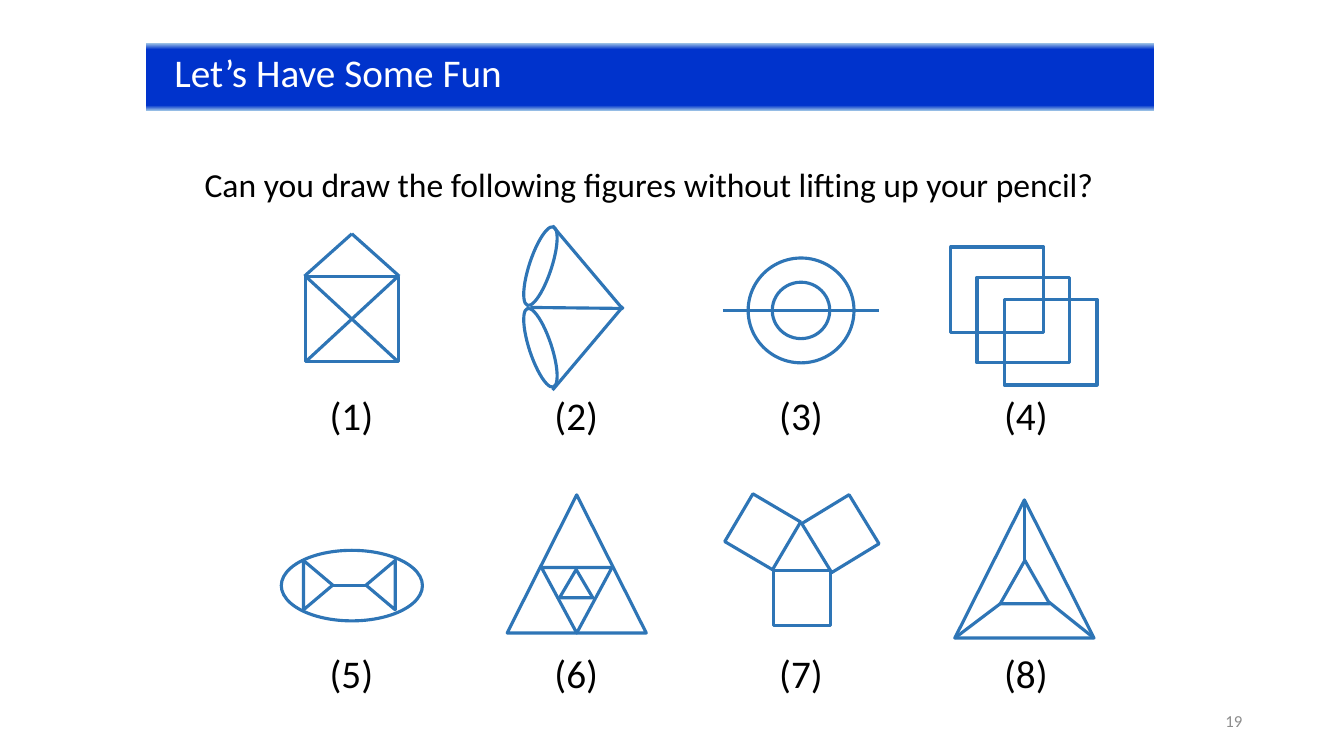
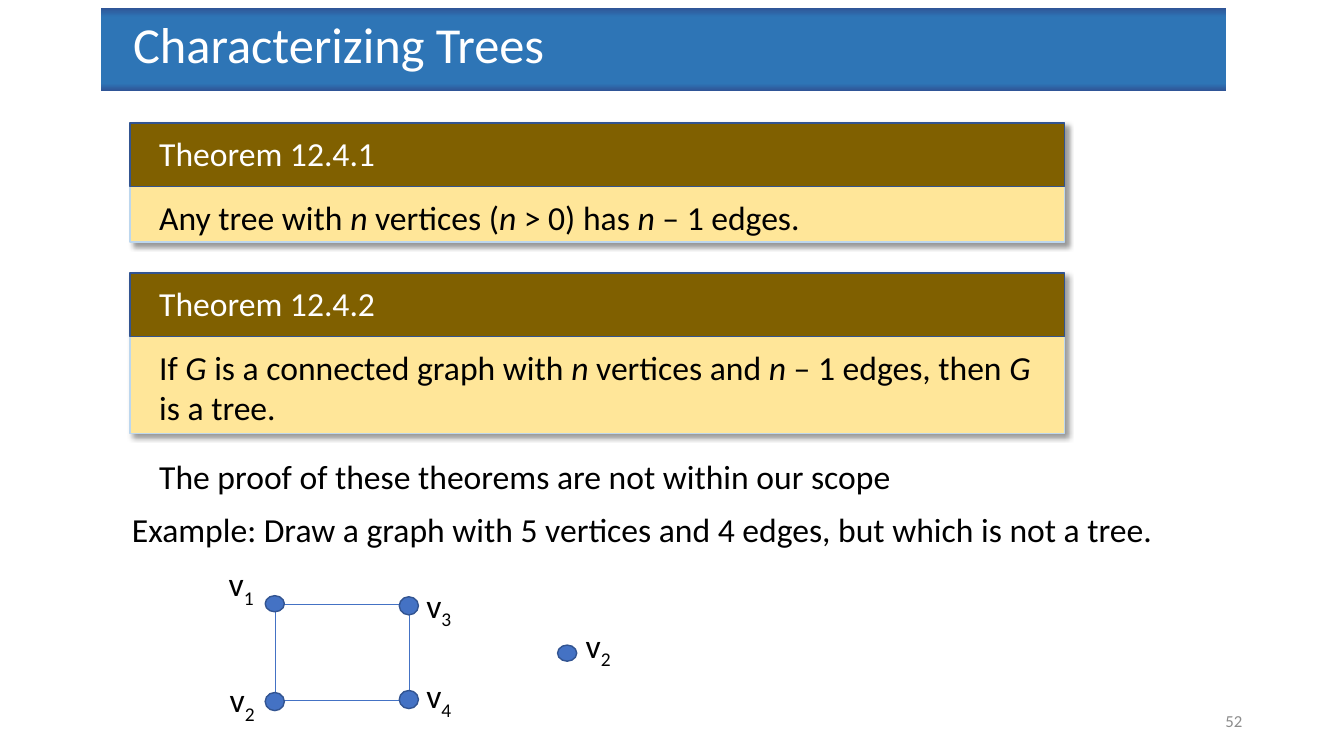
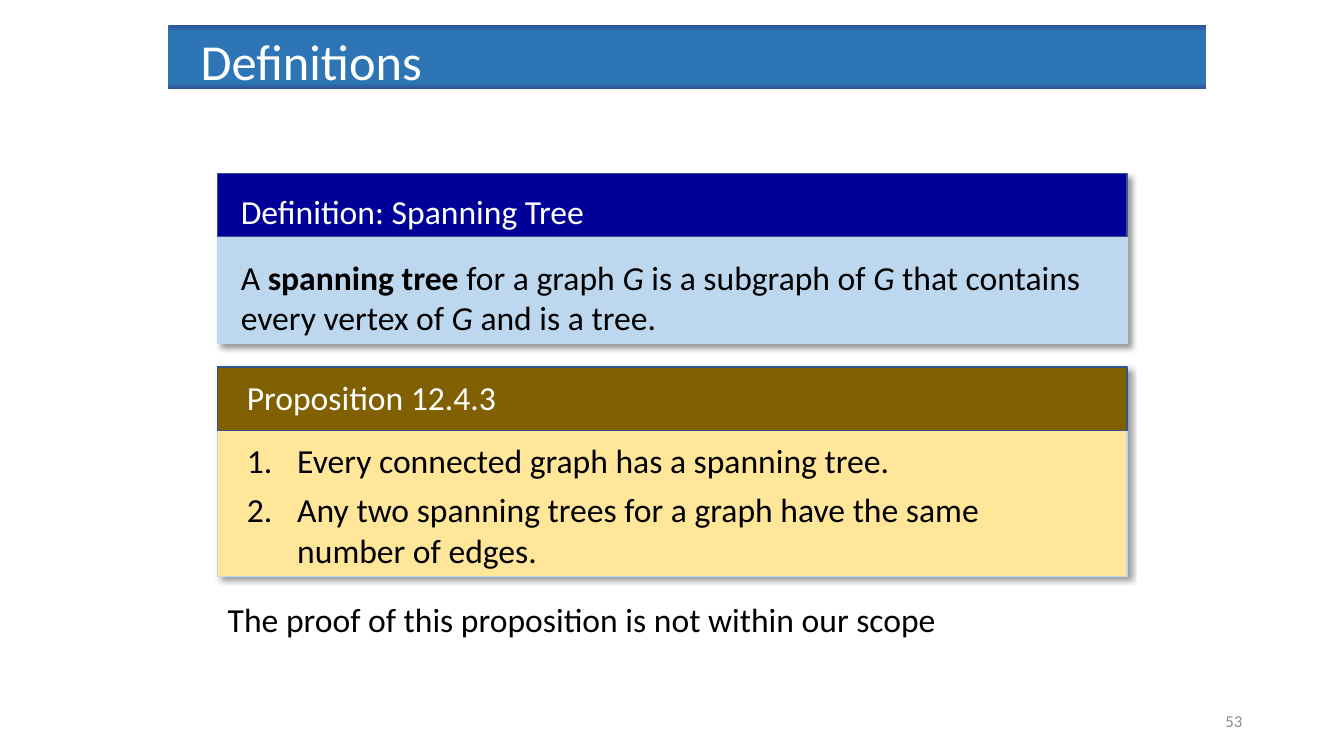
from dataclasses import dataclass
from typing import NamedTuple

from lxml.etree import SubElement
from pptx import Presentation
from pptx.dml.color import RGBColor
from pptx.enum.shapes import MSO_CONNECTOR, MSO_SHAPE
from pptx.enum.text import MSO_ANCHOR, PP_ALIGN
from pptx.oxml.ns import qn
from pptx.util import Inches, Pt


@dataclass(frozen=True)
class Theme:
    font: str = "Calibri"
    black: str = "000000"
    white: str = "FFFFFF"
    grey: str = "8C8C8C"
    figure: str = "2E75B6"
    vertex: str = "4472C4"
    outline: str = "325491"
    pale_blue: str = "BDD7EE"
    navy: str = "000099"
    cream: str = "FFE699"
    brown: str = "806000"
    number: int = 12
    body: int = 24
    label: int = 28
    title: int = 36
    figure_width: float = 2.25


T = Theme()


class Span(NamedTuple):
    text: str
    bold: bool = False
    italic: bool = False
    sub: bool = False


class Band(NamedTuple):
    stops: tuple[tuple[int, str], ...]
    size: int
    inset: float


class Box(NamedTuple):
    left: float
    top: float
    width: float
    height: float


class Part(NamedTuple):
    shape: MSO_SHAPE
    box: Box
    rotation: float = 0


class Stroke(NamedTuple):
    x1: float
    y1: float
    x2: float
    y2: float


@dataclass(frozen=True)
class Card:
    box: Box
    heading: str
    paragraphs: list[list[Span]]
    text_width: float
    text_dx: float = 0.19
    heading_dy: float = 0.05
    body_dy: float = 0.68
    head_fill: str = T.brown
    body_fill: str = T.cream
    numbered: bool = False


class Vertex(NamedTuple):
    left: float
    top: float
    height: float
    label_left: float
    label_top: float
    index: str


FUN_BAND = Band(((0, "9DC3E6"), (9, "0033CC"), (92, "0033CC"), (100, "9DC3E6")), T.label, 0.28)
BLUE_BAND = Band(((0, "2F5597"), (11, "2E75B6"), (91, "2E75B6"), (100, "2F5597")), T.title, 0.32)
HEAD_HEIGHT = 0.63
LINE_HEIGHT = 0.5

RECT, OVAL, TRIANGLE = MSO_SHAPE.RECTANGLE, MSO_SHAPE.OVAL, MSO_SHAPE.ISOSCELES_TRIANGLE
G = Span("G", italic=True)
N = Span("n", italic=True)

FIGURES = [
    [
        Part(RECT, Box(0.01, 0.51, 0.92, 0.85)),
        Stroke(0.01, 0.51, 0.93, 1.36),
        Stroke(0.01, 1.36, 0.93, 0.51),
        Stroke(0.47, 0.09, 0.94, 0.51),
        Stroke(0, 0.51, 0.47, 0.09),
    ],
    [
        Stroke(0.01, 0.82, 0.93, 0.83),
        Stroke(0.23, 0.01, 0.93, 0.84),
        Part(OVAL, Box(0, 0, 0.22, 0.82), 18.3),
        Part(OVAL, Box(0, 0.81, 0.22, 0.82), 341.7),
        Stroke(0.23, 1.64, 0.93, 0.81),
    ],
    [
        Part(OVAL, Box(0.18, 0.57, 0.57, 0.56)),
        Part(OVAL, Box(-0.06, 0.33, 1.05, 1.04)),
        Stroke(-0.31, 0.85, 1.24, 0.85),
    ],
    [
        Part(RECT, Box(x, y, 0.92, 0.85))
        for x, y in ((-0.28, 0.22), (-0.02, 0.52), (0.25, 0.74))
    ],
    [
        Stroke(0.28, 1.02, 0.61, 1.02),
        Part(TRIANGLE, Box(0.51, 0.87, 0.49, 0.29), 270),
        Part(TRIANGLE, Box(-0.11, 0.87, 0.49, 0.29), 90),
        Part(OVAL, Box(-0.23, 0.67, 1.4, 0.7)),
    ],
    [
        Part(TRIANGLE, Box(-0.22, 0.12, 1.38, 1.37)),
        Part(TRIANGLE, Box(0.3, 0.86, 0.33, 0.28)),
        Part(TRIANGLE, Box(0.12, 0.84, 0.7, 0.65), 180),
    ],
    [
        Part(RECT, Box(0.19, 0.87, 0.57, 0.55)),
        Part(RECT, Box(-0.19, 0.21, 0.55, 0.55), 300.5),
        Part(RECT, Box(0.57, 0.23, 0.57, 0.55), 58.6),
    ],
    [
        Part(TRIANGLE, Box(-0.24, 0.17, 1.38, 1.37)),
        Part(TRIANGLE, Box(0.21, 0.77, 0.49, 0.43)),
        Stroke(0.45, 0.18, 0.45, 0.77),
        Stroke(0.21, 1.2, -0.24, 1.54),
        Stroke(1.14, 1.54, 0.69, 1.18),
    ],
]

VERTICES = [
    Vertex(2.63, 5.91, 0.16, 2.17, 5.54, "1"),
    Vertex(2.63, 6.87, 0.18, 2.18, 6.69, "2"),
    Vertex(3.96, 5.92, 0.18, 4.13, 5.75, "3"),
    Vertex(3.96, 6.85, 0.18, 4.13, 6.65, "4"),
    Vertex(5.53, 6.4, 0.16, 5.71, 6.15, "2"),
]

EDGES = [
    Stroke(2.73, 6, 2.73, 6.95),
    Stroke(2.73, 6.95, 4.06, 6.95),
    Stroke(2.73, 6, 4.06, 6),
    Stroke(4.06, 6.95, 4.06, 6),
]


def rgb(color: str) -> RGBColor:
    return RGBColor.from_string(color)


def place(box: Box) -> list[int]:
    return [Inches(v) for v in box]


def style_run(r, size: int, color: str) -> None:
    r.font.name = T.font
    r.font.size = Pt(size)
    r.font.color.rgb = rgb(color)


def fill_paragraph(p, spans: list[Span], size: int, color: str) -> None:
    for span in spans:
        r = p.add_run()
        r.text = span.text
        style_run(r, size, color)
        if span.bold:
            r.font.bold = True
        if span.italic:
            r.font.italic = True
        if span.sub:
            r.font._element.set("baseline", "-25000")


def add_number_mark(p) -> None:
    pPr = p._p.get_or_add_pPr()
    pPr.set("marL", str(Inches(0.5)))
    pPr.set("indent", str(-Inches(0.5)))
    SubElement(pPr, qn("a:buFont"), typeface="+mj-lt")
    SubElement(pPr, qn("a:buAutoNum"), type="arabicPeriod")


def add_text(s, box: Box, paragraphs: list[list[Span]], size: int = T.body,
             color: str = T.black, align: PP_ALIGN = PP_ALIGN.LEFT,
             anchor: MSO_ANCHOR = MSO_ANCHOR.TOP, numbered: bool = False) -> None:
    tf = s.shapes.add_textbox(*place(box)).text_frame
    tf.word_wrap = True
    tf.vertical_anchor = anchor
    for i, spans in enumerate(paragraphs):
        p = tf.add_paragraph() if i else tf.paragraphs[0]
        p.alignment = align
        if len(paragraphs) > 1:
            p.space_after = Pt(6)
        if numbered:
            add_number_mark(p)
        fill_paragraph(p, spans, size, color)


def add_shape(s, part: Part, fill: str | None, line: str | None, width: float = 1):
    sp = s.shapes.add_shape(part.shape, *place(part.box))
    sp.rotation = part.rotation
    sp.shadow.inherit = False
    if fill:
        sp.fill.solid()
        sp.fill.fore_color.rgb = rgb(fill)
    else:
        sp.fill.background()
    if line:
        sp.line.color.rgb = rgb(line)
        sp.line.width = Pt(width)
    else:
        sp.line.fill.background()
    return sp


def add_stroke(s, stroke: Stroke, color: str, width: float) -> None:
    ends = [Inches(v) for v in stroke]
    cxn = s.shapes.add_connector(MSO_CONNECTOR.STRAIGHT, *ends)
    cxn.line.color.rgb = rgb(color)
    cxn.line.width = Pt(width)
    SubElement(cxn._element.spPr, qn("a:effectLst"))


def add_color(parent, color: str):
    return SubElement(parent, qn("a:srgbClr"), val=color)


def add_drop_shadow(sp) -> None:
    effects = sp._element.spPr.find(qn("a:effectLst"))
    shadow = SubElement(effects, qn("a:outerShdw"), blurRad=str(Pt(4)), dist=str(Pt(3)),
                        dir="2700000", algn="tl", rotWithShape="0")
    SubElement(add_color(shadow, T.black), qn("a:alpha"), val="40000")


def add_title(s, text: str, box: Box, band: Band) -> None:
    sp = add_shape(s, Part(RECT, box), None, None)
    sp.fill.gradient()
    sp.fill.gradient_angle = 270
    stops = sp._element.spPr.find(qn("a:gradFill")).find(qn("a:gsLst"))
    for stop in list(stops):
        stops.remove(stop)
    for position, color in band.stops:
        add_color(SubElement(stops, qn("a:gs"), pos=str(position * 1000)), color)
    tf = sp.text_frame
    tf.word_wrap = True
    tf.vertical_anchor = MSO_ANCHOR.TOP
    tf.margin_left = Inches(band.inset)
    tf.text = text
    p = tf.paragraphs[0]
    p.alignment = PP_ALIGN.LEFT
    style_run(p.runs[0], band.size, T.white)


def new_slide(prs, title: str, box: Box, band: Band, number: int):
    s = prs.slides.add_slide(prs.slide_layouts[6])
    add_text(s, Box(9.42, 6.95, 3, 0.4), [[Span(str(number))]], T.number, T.grey,
             PP_ALIGN.RIGHT, MSO_ANCHOR.MIDDLE)
    add_title(s, title, box, band)
    return s


def add_card(s, card: Card) -> None:
    left, top, width, height = card.box
    add_drop_shadow(add_shape(s, Part(RECT, card.box), card.body_fill, T.pale_blue))
    add_shape(s, Part(RECT, Box(left, top, width, HEAD_HEIGHT)), card.head_fill, T.outline)
    text_left = left + card.text_dx
    add_text(s, Box(text_left, top + card.heading_dy, card.text_width, LINE_HEIGHT),
             [[Span(card.heading)]], color=T.white)
    add_text(s, Box(text_left, top + card.body_dy, card.text_width, height - card.body_dy),
             card.paragraphs, numbered=card.numbered)


def add_figure(s, index: int, parts: list[Part | Stroke]) -> None:
    row, column = divmod(index, 4)
    x, y = 3.02 + 2.23 * column, 2.23 + 2.56 * row
    for part in parts:
        if isinstance(part, Stroke):
            moved = Stroke(x + part.x1, y + part.y1, x + part.x2, y + part.y2)
            add_stroke(s, moved, T.figure, T.figure_width)
        else:
            box = part.box._replace(left=x + part.box.left, top=y + part.box.top)
            add_shape(s, part._replace(box=box), None, T.figure, T.figure_width)
    add_text(s, Box(x, y + 1.6, 0.93, 0.57), [[Span(f"({index + 1})")]], T.label,
             align=PP_ALIGN.CENTER)


def add_vertex(s, v: Vertex) -> None:
    add_shape(s, Part(OVAL, Box(v.left, v.top, 0.19, v.height)), T.vertex, T.outline)
    add_text(s, Box(v.label_left, v.label_top, 0.75, LINE_HEIGHT),
             [[Span("v"), Span(v.index, sub=True)]])


def build_fun(prs) -> None:
    s = new_slide(prs, "Let’s Have Some Fun", Box(1.45, 0.43, 10, 0.67), FUN_BAND, 19)
    add_text(s, Box(1.93, 1.58, 9.05, LINE_HEIGHT),
             [[Span("Can you draw the following figures without lifting up your pencil?")]])
    for i, parts in enumerate(FIGURES):
        add_figure(s, i, parts)


def build_trees(prs) -> None:
    s = new_slide(prs, "Characterizing Trees", Box(1, 0.08, 11.16, 0.82), BLUE_BAND, 52)
    add_card(s, Card(
        Box(1.29, 1.22, 9.27, 1.18), "Theorem 12.4.1",
        [[Span("Any tree with "), N, Span(" vertices ("), N, Span(" > 0) has "), N,
          Span(" – 1 edges.")]], 9.09))
    add_card(s, Card(
        Box(1.29, 2.71, 9.27, 1.59), "Theorem 12.4.2",
        [[Span("If "), G, Span(" is a connected graph with "), N, Span(" vertices and "), N,
          Span(" – 1 edges, then "), G, Span(" is a tree.")]], 9.09))
    add_text(s, Box(1.48, 4.47, 10.49, LINE_HEIGHT),
             [[Span("The proof of these theorems are not within our scope")]])
    add_text(s, Box(1.21, 5, 10.49, LINE_HEIGHT),
             [[Span("Example: Draw a graph with 5 vertices and 4 edges, but which is not a tree.")]])
    for edge in EDGES:
        add_stroke(s, edge, T.vertex, 0.5)
    for v in VERTICES:
        add_vertex(s, v)


def build_definitions(prs) -> None:
    s = new_slide(prs, "Definitions", Box(1.67, 0.25, 10.29, 0.63), BLUE_BAND, 53)
    add_card(s, Card(
        Box(2.16, 1.72, 9.02, 1.69), "Definition: Spanning Tree",
        [[Span("A "), Span("spanning tree ", bold=True), Span("for a graph "), G,
          Span(" is a subgraph of "), G, Span(" that contains every vertex of "), G,
          Span(" and is a tree.")]],
        8.8, text_dx=0.13, heading_dy=0.12, body_dy=0.78,
        head_fill=T.navy, body_fill=T.pale_blue))
    add_card(s, Card(
        Box(2.16, 3.64, 9.02, 2.08), "Proposition 12.4.3",
        [[Span("Every connected graph has a spanning tree.")],
         [Span("Any two spanning trees for a graph have the same number of edges.")]],
        8.54, numbered=True))
    add_text(s, Box(2.16, 5.89, 10.49, LINE_HEIGHT),
             [[Span("The proof of this proposition is not within our scope")]])


def main() -> None:
    prs = Presentation()
    prs.slide_width, prs.slide_height = Inches(13.33), Inches(7.5)
    build_fun(prs)
    build_trees(prs)
    build_definitions(prs)
    prs.save("out.pptx")


if __name__ == "__main__":
    main()
